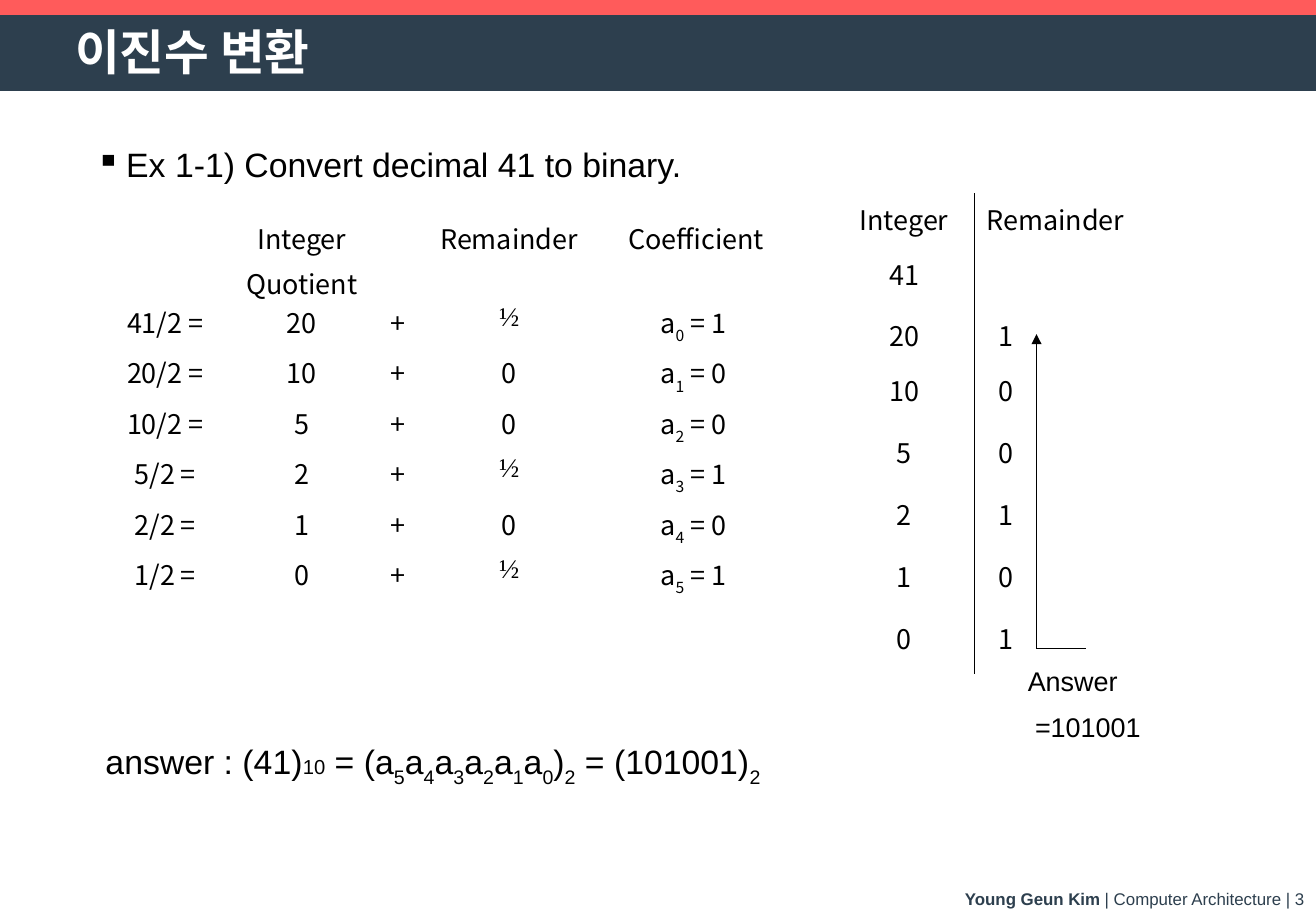
from lxml.etree import SubElement
from pptx import Presentation
from pptx.dml.color import RGBColor
from pptx.enum.shapes import MSO_CONNECTOR as CONN, MSO_SHAPE as SHAPE
from pptx.enum.text import MSO_ANCHOR as ANCHOR, PP_ALIGN as ALIGN
from pptx.oxml.ns import qn
from pptx.util import Inches, Pt

COLORS = {"red": "FF5B5B", "navy": "2D3F4E", "black": "000000", "white": "FFFFFF"}
KOREAN = "Noto Sans CJK KR"
SERIF = "Times New Roman"


class SlideBuilder:
    """Draws styled elements on the current slide; "_" in text marks a subscript."""

    def __init__(self, prs, font="Arial"):
        self.slide = prs.slides.add_slide(prs.slide_layouts[6])
        self.font = font

    def color(self, name):
        return RGBColor.from_string(COLORS[name])

    def band(self, top, height, color):
        sp = self.slide.shapes.add_shape(
            SHAPE.RECTANGLE, 0, Inches(top), Inches(10.83), Inches(height))
        sp.shadow.inherit = False
        sp.fill.solid()
        sp.fill.fore_color.rgb = self.color(color)
        sp.line.color.rgb = self.color(color)
        sp.line.width = Pt(1)

    def style(self, r, size, color="black", font=None, bold=False, sub=False):
        f = r.font
        f.size, f.bold, f.name = Pt(size), bold, font or self.font
        f.color.rgb = self.color(color)
        rPr = r._r.get_or_add_rPr()
        SubElement(rPr, qn("a:ea")).set("typeface", font or KOREAN)
        if sub:
            rPr.set("baseline", "-30000")

    def runs(self, p, text, size, **style):
        first, *rest = text.split("_")
        pieces = [(first, False)]
        for part in rest:
            pieces += [(part[0], True), (part[1:], False)]
        for piece, sub in pieces:
            if piece:
                r = p.add_run()
                r.text = piece
                self.style(r, size, sub=sub, **style)

    def space_before(self, p, percent):
        spc = SubElement(p._p.get_or_add_pPr(), qn("a:spcBef"))
        SubElement(spc, qn("a:spcPct")).set("val", str(percent * 1000))

    def indent(self, p, left, first=0):
        pPr = p._p.get_or_add_pPr()
        pPr.set("marL", str(Inches(left)))
        pPr.set("indent", str(Inches(first)))

    def bullet(self, p, char):
        self.indent(p, 0.25, -0.25)
        SubElement(p._p.get_or_add_pPr(), qn("a:buChar")).set("char", char)

    def text(self, left, top, width, height, anchor=ANCHOR.TOP):
        box = [Inches(v) for v in (left, top, width, height)]
        tf = self.slide.shapes.add_textbox(*box).text_frame
        tf.word_wrap = True
        tf.vertical_anchor = anchor
        return tf

    def table(self, left, top, cols, heights, rows):
        frame = self.slide.shapes.add_table(
            len(rows), len(cols), Inches(left), Inches(top),
            Inches(sum(cols)), Inches(sum(heights)))
        table = frame.table
        table.first_row = table.horz_banding = False
        for col, width in zip(table.columns, cols):
            col.width = Inches(width)
        for row, height, values in zip(table.rows, heights, rows):
            row.height = Inches(height)
            for cell, value in zip(row.cells, values):
                self.cell(cell, value)
        return table

    def cell(self, cell, value):
        for side in ("L", "R", "T", "B"):
            self.border(cell, side)
        cell.fill.background()
        if not value:
            return
        cell.text_frame.text = value
        for p in cell.text_frame.paragraphs:
            line = p.text
            p.clear()
            p.alignment = ALIGN.CENTER
            self.space_before(p, 20)
            self.runs(p, line, 16, font=SERIF if line == "½" else KOREAN)

    def border(self, cell, side, color=None):
        tcPr = cell._tc.get_or_add_tcPr()
        tag = qn(f"a:ln{side}")
        ln = tcPr.find(tag)
        if ln is None:
            ln = SubElement(tcPr, tag)
        for child in list(ln):
            ln.remove(child)
        if color:
            ln.set("w", str(Pt(1)))
            fill = SubElement(ln, qn("a:solidFill"))
            SubElement(fill, qn("a:srgbClr")).set("val", COLORS[color])
        else:
            SubElement(ln, qn("a:noFill"))

    def line(self, x1, y1, x2, y2, arrow=False):
        ends = [Inches(v) for v in (x1, y1, x2, y2)]
        cn = self.slide.shapes.add_connector(CONN.STRAIGHT, *ends)
        cn.line.color.rgb = self.color("black")
        cn.line.width = Pt(0.75)
        spPr = cn._element.spPr
        if arrow:
            SubElement(spPr.find(qn("a:ln")), qn("a:tailEnd")).set("type", "triangle")
        SubElement(spPr, qn("a:effectLst"))


def main():
    prs = Presentation()
    prs.slide_width, prs.slide_height = Inches(10.83), Inches(7.5)
    s = SlideBuilder(prs)

    s.band(0, 0.56, "red")
    s.band(0.13, 0.61, "navy")
    title = s.text(0.52, 0.19, 9.34, 0.46, ANCHOR.MIDDLE)
    s.runs(title.paragraphs[0], "이진수 변환", 28.8, color="white", bold=True)

    p = s.text(6.7, 7.27, 4.13, 0.23).paragraphs[0]
    p.alignment = ALIGN.RIGHT
    s.runs(p, "Young Geun Kim ", 10, color="navy", bold=True)
    s.runs(p, "| Computer Architecture | 3", 10, color="navy")

    p = s.text(0.69, 1.17, 8.75, 0.4).paragraphs[0]
    p.line_spacing = 0.9
    s.bullet(p, "▪")
    s.runs(p, "Ex 1-1) Convert decimal 41 to binary.", 20)

    p = s.text(0.77, 6.05, 8, 0.4).paragraphs[0]
    p.line_spacing = 0.9
    s.runs(p, "answer : (41)", 20)
    s.runs(p, "10", 12)
    s.runs(p, " = (a_5a_4a_3a_2a_1a_0)_2 = (101001)_2", 20)

    numbers = [41 >> i for i in range(6)]
    steps = [["", "Integer\nQuotient", "", "Remainder", "Coefficient"]]
    summary = [["Integer", "Remainder"], ["41", ""]]
    for i, n in enumerate(numbers):
        half, bit = divmod(n, 2)
        steps.append([f"{n}/2 =", str(half), "+", "½" if bit else "0", f"a_{i} = {bit} "])
        summary.append([str(half), str(bit)])

    s.table(0.86, 1.75, [1, 1.25, 0.33, 1.5, 1.58], [0.69] + [0.37] * 6, steps)
    heights = [0.45, 0.51, 0.45] + [0.51] * 5
    table = s.table(6.86, 1.59, [1.16, 1.51], heights, summary)
    for i, row in enumerate(table.rows):
        integer, remainder = row.cells
        s.border(integer, "R", "black")
        s.border(remainder, "L", "black")
        p = remainder.text_frame.paragraphs[0]
        p.alignment = ALIGN.LEFT
        if i > 1:
            s.indent(p, 0.1)

    s.line(8.53, 5.34, 8.94, 5.34)
    tf = s.text(8.36, 5.42, 1.5, 0.77)
    tf.text = "Answer\n=101001"
    for p in tf.paragraphs:
        s.space_before(p, 50)
        s.style(p.runs[0], 16)
    s.indent(tf.paragraphs[1], 0.06)
    s.line(8.53, 5.34, 8.53, 2.75, arrow=True)

    prs.save("out.pptx")


if __name__ == "__main__":
    main()
